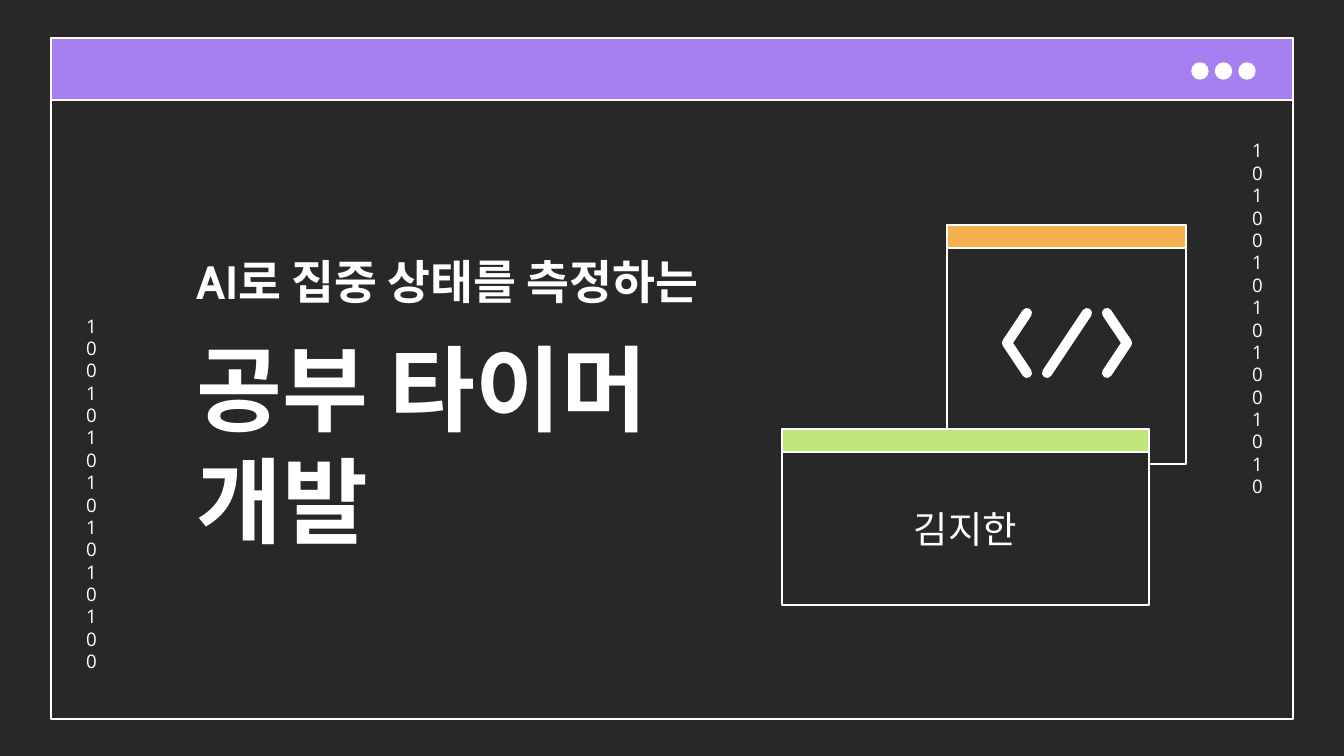
from lxml import etree
from pptx import Presentation
from pptx.dml.color import RGBColor
from pptx.enum.shapes import MSO_SHAPE
from pptx.enum.text import MSO_ANCHOR, MSO_AUTO_SIZE, PP_ALIGN
from pptx.oxml.ns import qn
from pptx.util import Emu, Pt

RECT, OVAL = MSO_SHAPE.RECTANGLE, MSO_SHAPE.OVAL
LEFT, CENTER = PP_ALIGN.LEFT, PP_ALIGN.CENTER
TOP, MIDDLE = MSO_ANCHOR.TOP, MSO_ANCHOR.MIDDLE
TITLE_ONLY = 5

THEME = {
    "background": "292828", "white": "FFFFFF",
    "purple": "A67FF1", "orange": "F5B150", "green": "C0E67A",
    "heading_font": "Cabin", "bits_font": "Open Sans",
    "lead": 25, "title": 50, "author": 20, "bits": 10,
    "outline": 0.75, "icon_stroke": 5.4,
}

# Content; every box is left, top, width, height in px
SLIDE = (1344, 756)
TITLE_LINES = [("AI로 집중 상태를 측정하는", "lead", 0),
               ("공부 타이머", "title", 12),
               ("개발", "title", 0)]
TITLE_BOX = (183, 177, 633, 454)
AUTHOR = "김지한"
BIT_COLUMNS = [("1010010101001010", 1239, 126), ("1001010101010100", 73, 301)]
BIT_SIZE = (32, 376)
MAIN_WINDOW = (51, 38, 1242, 681)
MAIN_BAR = 62
ICON_WINDOW = (947, 225, 239, 239)
AUTHOR_BODY = (782, 452, 367, 153)
SMALL_BAR = 23
DOT_LEFT, DOT_TOP, DOT_SIZE, DOT_SPAN, DOT_COUNT = 1192, 63, 16, 47, 3
ICON_STROKES = [
    [(1027, 313), (1007, 343), (1027, 373)],
    [(1087, 313), (1047, 373)],
    [(1107, 313), (1127, 343), (1107, 373)],
]


def px(length):
    return Emu(round(length * 914400 / 134.4))


def colour(name):
    return RGBColor.from_string(THEME[name])


def place(shape, box):
    shape.left, shape.top, shape.width, shape.height = map(px, box)


def add_box(slide, box, fill=None, kind=RECT):
    shape = slide.shapes.add_shape(kind, *map(px, box))
    shape.shadow.inherit = False
    if fill:
        shape.fill.solid()
        shape.fill.fore_color.rgb = colour(fill)
    else:
        shape.fill.background()
    shape.line.color.rgb = colour("white")
    shape.line.width = Pt(THEME["outline"])
    return shape


def write(shape, lines, font="heading_font", bold=False, align=LEFT,
          anchor=MIDDLE, spacing=1.0):
    """Fill a shape with (text, size name, points before) lines."""
    frame = shape.text_frame
    frame.word_wrap = True
    frame.auto_size = MSO_AUTO_SIZE.NONE
    frame.vertical_anchor = anchor
    frame.margin_left = frame.margin_right = Pt(7.2)
    frame.margin_top = frame.margin_bottom = Pt(7.2)
    for index, (text, size, before) in enumerate(lines):
        paragraph = frame.add_paragraph() if index else frame.paragraphs[0]
        paragraph.alignment = align
        paragraph.line_spacing = spacing
        if index:
            paragraph.space_before = Pt(before)
        run = paragraph.add_run()
        run.text = text
        run.font.size = Pt(THEME[size])
        run.font.bold = bold
        run.font.color.rgb = colour("white")
        run.font.name = THEME[font]
        east_asian = etree.SubElement(run.font._element, qn("a:ea"))
        east_asian.set("typeface", THEME[font])


def add_window(slide, box, bar_height, bar_colour):
    add_box(slide, box)
    add_box(slide, (*box[:3], bar_height), bar_colour)


def add_code_icon(slide):
    builder = slide.shapes.build_freeform(*ICON_STROKES[0][0], scale=px(1))
    for index, (start, *rest) in enumerate(ICON_STROKES):
        if index:
            builder.move_to(*start)
        builder.add_line_segments(rest, close=False)
    icon = builder.convert_to_shape()
    icon.shadow.inherit = False
    icon.fill.background()
    icon.line.color.rgb = colour("white")
    icon.line.width = Pt(THEME["icon_stroke"])
    outline = icon.line._get_or_add_ln()
    outline.set("cap", "rnd")
    etree.SubElement(outline, qn("a:round"))


def main():
    deck = Presentation()
    deck.slide_width, deck.slide_height = map(px, SLIDE)
    slide = deck.slides.add_slide(deck.slide_layouts[TITLE_ONLY])
    slide.background.fill.solid()
    slide.background.fill.fore_color.rgb = colour("background")

    add_window(slide, MAIN_WINDOW, MAIN_BAR, "purple")
    for index in range(DOT_COUNT):
        left = DOT_LEFT + index * DOT_SPAN / (DOT_COUNT - 1)
        add_box(slide, (left, DOT_TOP, DOT_SIZE, DOT_SIZE), "white", OVAL)

    for bits, left, top in BIT_COLUMNS:
        column = slide.shapes.add_textbox(*map(px, (left, top, *BIT_SIZE)))
        write(column, [(bits, "bits", 0)], font="bits_font", align=CENTER,
              anchor=TOP, spacing=Pt(12))

    title = slide.shapes.title
    place(title, TITLE_BOX)
    write(title, TITLE_LINES, bold=True)

    add_window(slide, ICON_WINDOW, SMALL_BAR, "orange")
    add_code_icon(slide)

    author = add_box(slide, AUTHOR_BODY, "background")
    write(author, [(AUTHOR, "author", 0)], align=CENTER)
    left, top, width, _ = AUTHOR_BODY
    add_box(slide, (left, top - SMALL_BAR, width, SMALL_BAR), "green")

    deck.save("out.pptx")


if __name__ == "__main__":
    main()
